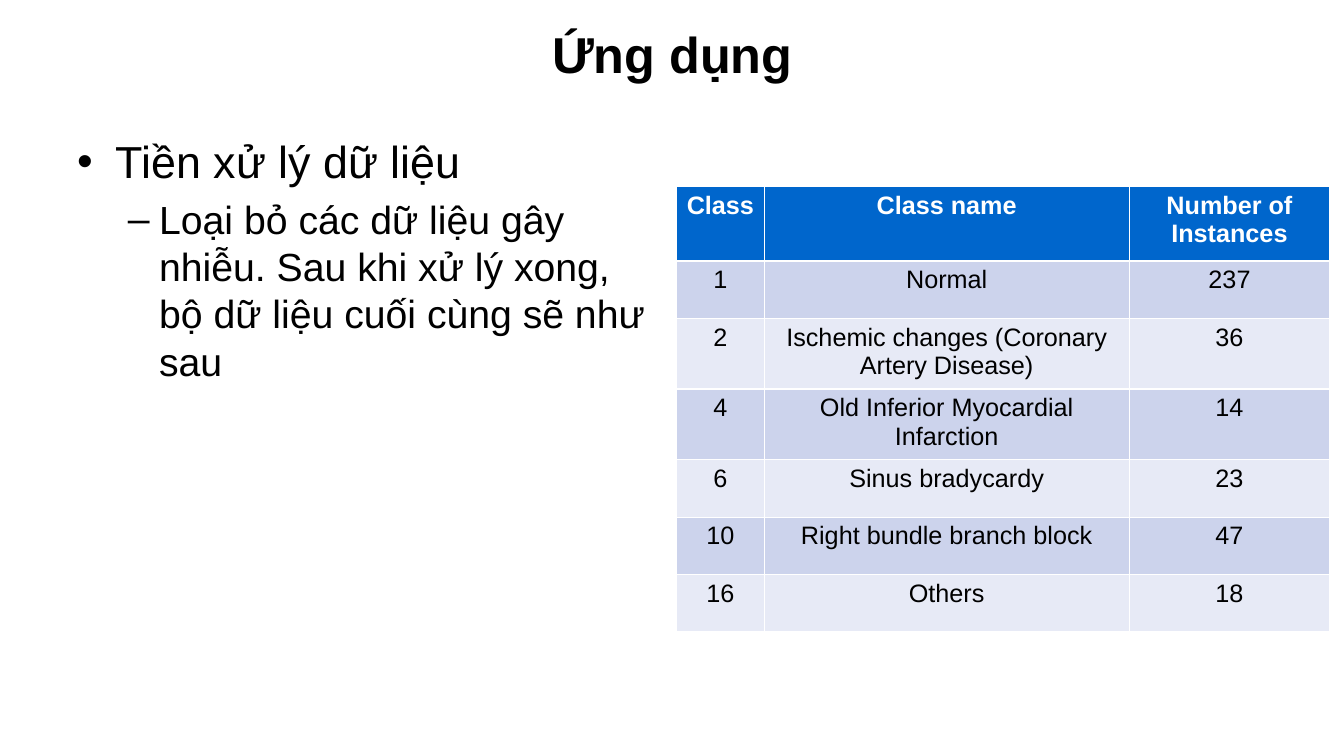
from lxml.etree import SubElement
from pptx import Presentation
from pptx.dml.color import RGBColor
from pptx.enum.text import MSO_ANCHOR, PP_ALIGN
from pptx.oxml.ns import qn
from pptx.util import Pt

PX = 9144  # 100 px to the inch
FONT = "Arial"
BLACK = RGBColor(0x00, 0x00, 0x00)
WHITE = RGBColor(0xFF, 0xFF, 0xFF)
HEADER_BLUE = RGBColor(0x00, 0x66, 0xCC)
BANDS = [RGBColor(0xCC, 0xD3, 0xEC), RGBColor(0xE7, 0xEA, 0xF6)]

# text, bullet, size in points, left margin in px, hanging indent in px
OUTLINE = [
    ("Tiền xử lý dữ liệu", "•", 32, 38, 38),
    ("Loại bỏ các dữ liệu gây nhiễu. Sau khi xử lý xong, "
     "bộ dữ liệu cuối cùng sẽ như sau", "–", 28, 81, 31),
]
CLASSES = [
    ("Class", "Class name", "Number of Instances"),
    ("1", "Normal", "237"),
    ("2", "Ischemic changes (Coronary Artery Disease)", "36"),
    ("4", "Old Inferior Myocardial Infarction", "14"),
    ("6", "Sinus bradycardy", "23"),
    ("10", "Right bundle branch block", "47"),
    ("16", "Others", "18"),
]
COLUMN_WIDTHS = [87, 362, 199]
ROW_HEIGHTS = [74, 57, 70, 57, 57, 57, 57]


def px(*lengths):
    return [length * PX for length in lengths]


def style(paragraph, size, color=BLACK, bold=False, align=PP_ALIGN.CENTER):
    paragraph.alignment = align
    font = paragraph.font
    font.name, font.size, font.bold = FONT, Pt(size), bold
    font.color.rgb = color


def set_bullet(paragraph, bullet, margin, hanging):
    properties = paragraph._p.get_or_add_pPr()
    properties.set("marL", str(margin * PX))
    properties.set("indent", str(-hanging * PX))
    SubElement(properties, qn("a:buFont")).set("typeface", FONT)
    SubElement(properties, qn("a:buChar")).set("char", bullet)
    # The schema wants the bullet ahead of the default run properties.
    properties.append(properties.find(qn("a:defRPr")))


def add_title(slide, text):
    title = slide.shapes.title
    title.left, title.top, title.width, title.height = px(67, 21, 1200, 64)
    title.text_frame.text = text
    title.text_frame.vertical_anchor = MSO_ANCHOR.MIDDLE
    style(title.text_frame.paragraphs[0], 36, bold=True)


def add_outline(slide, items):
    frame = slide.shapes.add_textbox(*px(67, 128, 589, 542)).text_frame
    frame.word_wrap = True
    for index, (text, bullet, size, margin, hanging) in enumerate(items):
        paragraph = frame.add_paragraph() if index else frame.paragraphs[0]
        paragraph.text = text
        paragraph.level = index
        paragraph.space_before = Pt(0.2 * size)
        style(paragraph, size, align=PP_ALIGN.LEFT)
        set_bullet(paragraph, bullet, margin, hanging)


def add_class_table(slide, rows):
    bounds = px(671, 185, sum(COLUMN_WIDTHS), sum(ROW_HEIGHTS))
    table = slide.shapes.add_table(len(rows), len(rows[0]), *bounds).table
    for column, width in zip(table.columns, px(*COLUMN_WIDTHS)):
        column.width = width
    for row, height in zip(table.rows, px(*ROW_HEIGHTS)):
        row.height = height
    for r, values in enumerate(rows):
        header = r == 0
        for c, value in enumerate(values):
            cell = table.cell(r, c)
            cell.text = value
            cell.fill.solid()
            cell.fill.fore_color.rgb = HEADER_BLUE if header else BANDS[(r - 1) % 2]
            style(cell.text_frame.paragraphs[0], 18,
                  WHITE if header else BLACK, bold=header)


def main():
    deck = Presentation()
    deck.slide_width, deck.slide_height = px(1333, 750)
    slide = deck.slides.add_slide(deck.slide_layouts[5])
    add_title(slide, "Ứng dụng")
    add_outline(slide, OUTLINE)
    add_class_table(slide, CLASSES)
    deck.save("out.pptx")


if __name__ == "__main__":
    main()
